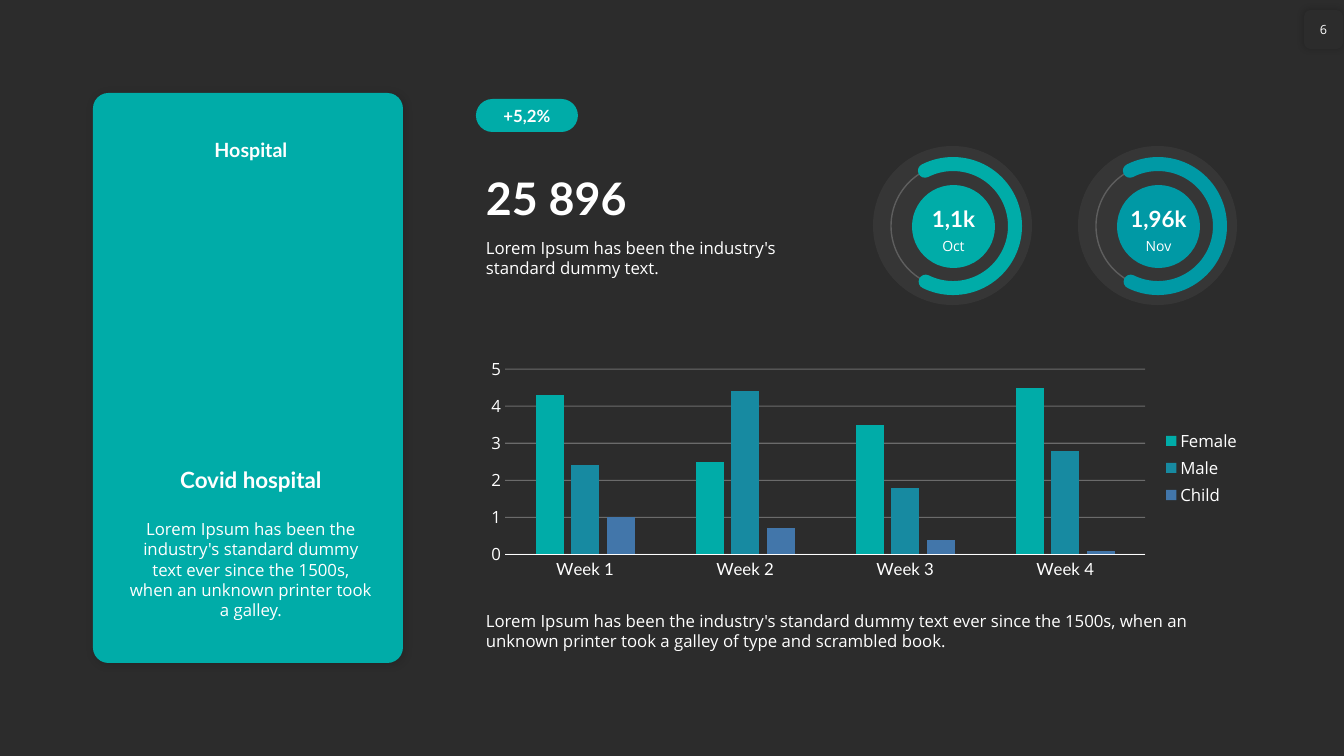
import pptx
import pptx.util
import pptx.dml.color
import pptx.chart.data
import pptx.enum.chart
import pptx.enum.shapes
import pptx.enum.text
import pptx.oxml
import pptx.oxml.ns

PX = 914400 / 100.8
TEAL, CYAN, WHITE, DARK = "00ACA8", "0099A5", "FFFFFF", "2C2C2C"
HEAD, BODY = "Lato", "Open Sans"
KIND = pptx.enum.shapes.MSO_SHAPE
ALIGN = pptx.enum.text.PP_ALIGN
ANCHOR = pptx.enum.text.MSO_ANCHOR
NS = pptx.oxml.ns.nsdecls("a")


def px(*sizes):
    return [round(size * PX) for size in sizes]


def rgb(code):
    return pptx.dml.color.RGBColor.from_string(code)


def paint(fill, code, alpha=100):
    fill.solid()
    fill.fore_color.rgb = rgb(code)
    if alpha < 100:
        tint = pptx.oxml.parse_xml(f'<a:alpha {NS} val="{alpha * 1000}"/>')
        fill._xPr.find(".//" + pptx.oxml.ns.qn("a:srgbClr")).append(tint)


class Board:
    def __init__(self, slide):
        self.slide = slide
        paint(slide.background.fill, DARK)

    def style(self, font, size, face, bold=False):
        font.size = pptx.util.Pt(size)
        font.name = face
        font.bold = bold
        font.color.rgb = rgb(WHITE)

    def fit(self, frame, words, size, face, align, anchor):
        frame.word_wrap = True
        frame.vertical_anchor = anchor
        para = frame.paragraphs[0]
        para.text = words
        para.alignment = align
        self.style(para.font, size, face, face == HEAD)

    def text(self, box, words, size, face=BODY, align=ALIGN.CENTER, anchor=ANCHOR.TOP):
        frame = self.slide.shapes.add_textbox(*px(*box)).text_frame
        self.fit(frame, words, size, face, align, anchor)

    def shape(self, kind, box, fill=None, alpha=100, adjust=()):
        item = self.slide.shapes.add_shape(kind, *px(*box))
        item.shadow.inherit = False
        for spot, value in enumerate(adjust):
            item.adjustments[spot] = value
        item.line.fill.background()
        if fill:
            paint(item.fill, fill, alpha)
        else:
            item.fill.background()
        return item

    def stroke(self, item, code, width, alpha=100):
        item.line.width = pptx.util.Pt(width)
        paint(item.line.fill, code, alpha)

    def shade(self, item, alpha, blur, dist):
        drop = pptx.oxml.parse_xml(
            f'<a:outerShdw {NS} blurRad="{blur * 12700}" dist="{dist * 12700}" '
            f'dir="2700000" algn="tl" rotWithShape="0"><a:srgbClr val="000000">'
            f'<a:alpha val="{alpha * 1000}"/></a:srgbClr></a:outerShdw>')
        item._element.spPr.find(pptx.oxml.ns.qn("a:effectLst")).append(drop)

    def label(self, item, words, size, face):
        frame = item.text_frame
        self.fit(frame, words, size, face, ALIGN.CENTER, ANCHOR.MIDDLE)
        frame.margin_left = frame.margin_right = 0
        frame.margin_top = frame.margin_bottom = 0

    def ring(self, left, code, value, month):
        self.shape(KIND.OVAL, (left, 146, 159, 159), WHITE, 5)
        track = (left + 18, 164, 124, 124)
        self.stroke(self.shape(KIND.OVAL, track), WHITE, 1, 20)
        arc = self.shape(KIND.ARC, track, adjust=(145.85, 69.71))
        self.stroke(arc, code, 10)
        arc.line._ln.set("cap", "rnd")
        inner = left + 39
        self.shape(KIND.OVAL, (inner, 185, 83, 83), code)
        self.text((inner, 200, 83, 37), value, 16, HEAD, anchor=ANCHOR.BOTTOM)
        self.text((inner, 233, 83, 27), month, 10)

    def chart(self, box, cats, series):
        data = pptx.chart.data.CategoryChartData()
        data.categories = cats
        for name, values, code in series:
            data.add_series(name, values)
        kind = pptx.enum.chart.XL_CHART_TYPE.COLUMN_CLUSTERED
        chart = self.slide.shapes.add_chart(kind, *px(*box), data).chart
        self.style(chart.font, 10, BODY)
        chart.has_title = False
        chart.has_legend = True
        chart.legend.position = pptx.enum.chart.XL_LEGEND_POSITION.RIGHT
        chart.legend.include_in_layout = False
        self.style(chart.legend.font, 12, BODY)
        plot = chart.plots[0]
        plot.gap_width, plot.overlap, plot.vary_by_categories = 219, -27, False
        for bars, (name, values, code) in zip(plot.series, series):
            paint(bars.format.fill, code)
        for axis, face in ((chart.category_axis, HEAD), (chart.value_axis, BODY)):
            axis.major_tick_mark = pptx.enum.chart.XL_TICK_MARK.NONE
            axis.minor_tick_mark = pptx.enum.chart.XL_TICK_MARK.NONE
            self.style(axis.tick_labels.font, 12, face)
        self.stroke(chart.category_axis.format, WHITE, 0.75)
        scale = chart.value_axis
        scale.minimum_scale, scale.maximum_scale, scale.major_unit = 0, 5, 1
        scale.format.line.fill.background()
        scale.has_major_gridlines = True
        self.stroke(scale.major_gridlines.format, WHITE, 0.75, 30)


def main():
    deck = pptx.Presentation()
    deck.slide_width, deck.slide_height = px(1344, 756)
    board = Board(deck.slides.add_slide(deck.slide_layouts[6]))

    card = board.shape(KIND.ROUNDED_RECTANGLE, (93, 93, 310, 570), TEAL, adjust=[0.05])
    board.shade(card, 15, 6, 1)
    page = board.shape(KIND.ROUNDED_RECTANGLE, (1304, 10, 39, 39), DARK)
    board.shade(page, 20, 5, 0)
    board.label(page, "6", 9, BODY)

    board.text((119, 132, 264, 34), "Hospital", 14, HEAD, anchor=ANCHOR.BOTTOM)
    board.text((119, 461, 264, 37), "Covid hospital", 16, HEAD)
    board.text((119, 514, 264, 110), "Lorem Ipsum has been the industry's standard dummy text "
               "ever since the 1500s, when an unknown printer took a galley.", 12)

    badge = board.shape(KIND.ROUNDED_RECTANGLE, (476, 99, 102, 33), TEAL, adjust=[0.5])
    board.label(badge, "+5,2%", 12, HEAD)
    board.text((476, 164, 339, 65), "25 896", 32, HEAD, ALIGN.LEFT, ANCHOR.BOTTOM)
    board.text((476, 233, 339, 50), "Lorem Ipsum has been the industry's standard dummy text.",
               12, align=ALIGN.LEFT)

    board.ring(873, TEAL, "1,1k", "Oct")
    board.ring(1078, CYAN, "1,96k", "Nov")

    board.chart((476, 353, 775, 230), [f"Week {week}" for week in range(1, 5)], [
        ("Female", (4.3, 2.5, 3.5, 4.5), TEAL),
        ("Male", (2.4, 4.4, 1.8, 2.8), "178AA1"),
        ("Child", (1, 0.7, 0.4, 0.1), "4276AA"),
    ])
    board.text((476, 606, 776, 50), "Lorem Ipsum has been the industry's standard dummy text "
               "ever since the 1500s, when an unknown printer took a galley of type and "
               "scrambled book.", 12, align=ALIGN.LEFT)
    deck.save("out.pptx")


if __name__ == "__main__":
    main()
